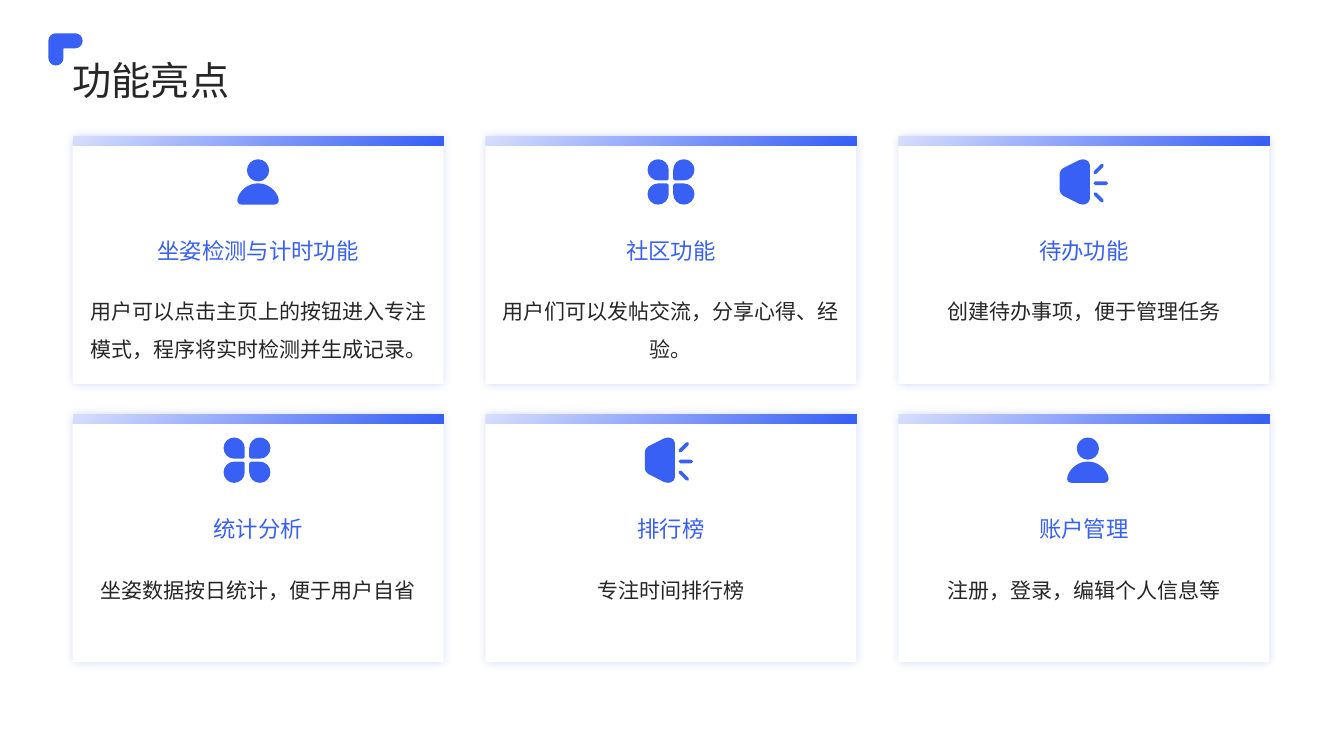
from math import hypot

from lxml import etree
from pptx import Presentation
from pptx.dml.color import RGBColor
from pptx.enum.shapes import MSO_SHAPE
from pptx.enum.text import MSO_ANCHOR, PP_ALIGN
from pptx.oxml.ns import qn
from pptx.util import Inches, Pt

RECT = MSO_SHAPE.RECTANGLE
TOP, MIDDLE = MSO_ANCHOR.TOP, MSO_ANCHOR.MIDDLE
LEFT, CENTER = PP_ALIGN.LEFT, PP_ALIGN.CENTER

COLORS = {"blue": "3860F4", "pale": "D7DFFD", "white": "FFFFFF",
          "ink": "262626", "glow": "0C37D5"}
SANS = "Noto Sans CJK SC"

# Card grid, in inches
COLS = 3
LEFT_X, RIGHT_X, TOP_Y = 0.72, 12.59, 1.35
CARD_W, CARD_H = 3.68, 2.46
STEP_X = (RIGHT_X - LEFT_X - CARD_W) / (COLS - 1)
STEP_Y = 2.76
PAD, BAR = 0.12, 0.09

# Title, description, icon, shift of the icon from the card's centre
CARDS = [
    ("坐姿检测与计时功能", "用户可以点击主页上的按钮进入专注模式，程序将实时检测并生成记录。", "person", 0),
    ("社区功能", "用户们可以发帖交流，分享心得、经验。", "petals", 0),
    ("待办功能", "创建待办事项，便于管理任务", "horn", 0),
    ("统计分析", "坐姿数据按日统计，便于用户自省", "petals", -0.11),
    ("排行榜", "专注时间排行榜", "horn", -0.02),
    ("账户管理", "注册，登录，编辑个人信息等", "person", 0.04),
]


def color(name):
    return RGBColor.from_string(COLORS[name])


def box(x, y, w, h, radii):
    """Corners of a box, clockwise from the top left, each with its radius."""
    spots = [(x, y), (x + w, y), (x + w, y + h), (x, y + h)]
    return [(*spot, r) for spot, r in zip(spots, radii)]


def petals():
    loops = []
    for row in range(2):
        for col in range(2):
            radii = [10.5] * 4
            radii[[[2, 3], [1, 0]][row][col]] = 2
            loops.append(box(col * 25.5, row * 24, 21, 21, radii))
    return loops


def horn():
    ray = [(32.7, 13.2, 1.75), (42.2, 3.7, 1.75), (44.7, 6.2, 1.75), (35.2, 15.7, 1.75)]
    flip = [(x, 47.5 - y, r) for x, y, r in reversed(ray)]
    half = [(0, 10.5, 4), (21, 0, 2), (26, 0, 3), (30, 3.5, 2)]
    cone = half + [(x, 45 - y, r) for x, y, r in reversed(half)]
    return [cone, ray, box(33.5, 22, 14.5, 3.6, [1.8] * 4), flip]


# Outlines in hundredths of an inch: x, y, corner radius
ICONS = {
    "person": (42, [box(10, 0, 22, 22, [11] * 4),
                    [(5, 24, 15), (37, 24, 15), (43, 45, 6), (-1, 45, 6)]]),
    "petals": (46.5, petals()),
    "horn": (48, horn()),
}
CORNER = [(0, 0, 7.5), (34, 0, 7.5), (34, 15, 7.5), (15, 15, 0),
          (15, 32, 7.5), (0, 32, 7.5)]


def bend(loop):
    """For each rounded corner: start, two handles, end."""
    curves = []
    for i, (x, y, r) in enumerate(loop):
        ends, grips = [], []
        for px, py, _ in (loop[i - 1], loop[(i + 1) % len(loop)]):
            for share, spots in ((1, ends), (0.45, grips)):
                cut = share * r / hypot(px - x, py - y)
                spots.append((x + (px - x) * cut, y + (py - y) * cut))
        curves.append([ends[0], *grips, ends[1]])
    return curves


def add_step(path, tag, points):
    step = etree.SubElement(path, qn(tag))
    for px, py in points:
        etree.SubElement(step, qn("a:pt"), x=str(px), y=str(py))


def add_form(slide, x, y, loops):
    shapes = [[[(Inches(x + px / 100), Inches(y + py / 100)) for px, py in curve]
               for curve in bend(loop)] for loop in loops]
    build = slide.shapes.build_freeform(*shapes[0][0][0], scale=1.0)
    for curves in shapes:
        build.move_to(*curves[0][0])
        build.add_line_segments([spot for c in curves for spot in (c[0], c[3])])
    form = build.convert_to_shape()
    form.shadow.inherit = False
    form.fill.solid()
    form.fill.fore_color.rgb = color("blue")
    form.line.fill.background()
    # Redraw the outline with true curves
    path = next(form.element.iter(qn("a:path")))
    for step in list(path):
        path.remove(step)
    for curves in shapes:
        last = None
        for curve in curves:
            first, *rest = [(px - form.left, py - form.top) for px, py in curve]
            if last is None:
                add_step(path, "a:moveTo", [first])
            elif hypot(first[0] - last[0], first[1] - last[1]) > Inches(0.002):
                add_step(path, "a:lnTo", [first])
            if rest[-1] != first:
                add_step(path, "a:cubicBezTo", rest)
            last = rest[-1]
        etree.SubElement(path, qn("a:close"))


def add_rect(slide, x, y, w, h):
    rect = slide.shapes.add_shape(RECT, Inches(x), Inches(y), Inches(w), Inches(h))
    rect.shadow.inherit = False
    rect.line.fill.background()
    return rect


def add_panel(slide, x, y):
    panel = add_rect(slide, x, y, CARD_W, CARD_H)
    panel.fill.solid()
    panel.fill.fore_color.rgb = color("white")
    # Soft glow around the card
    glow = etree.SubElement(panel.element.spPr.find(qn("a:effectLst")), qn("a:outerShdw"),
                            blurRad=str(Pt(7)), dist="0", dir="0", sx="99000", sy="99000",
                            algn="ctr", rotWithShape="0")
    tint = etree.SubElement(glow, qn("a:srgbClr"), val=COLORS["glow"])
    etree.SubElement(tint, qn("a:alpha"), val="24000")
    # Gradient bar along the top
    bar = add_rect(slide, x, y, CARD_W, BAR)
    bar.fill.gradient()
    bar.fill.gradient_angle = 315
    for stop, name, pos in zip(bar.fill.gradient_stops, ("pale", "blue"), (0, 0.98)):
        stop.color.rgb = color(name)
        stop.position = pos


def add_text(slide, text, x, y, w, h, size=15, tone="ink", font=SANS,
             align=CENTER, anchor=TOP, space=1.5):
    frame = slide.shapes.add_textbox(Inches(x), Inches(y), Inches(w), Inches(h)).text_frame
    frame.word_wrap = True
    frame.vertical_anchor = anchor
    frame.margin_left = frame.margin_right = frame.margin_top = frame.margin_bottom = 0
    para = frame.paragraphs[0]
    para.alignment = align
    para.line_spacing = space
    run = para.add_run()
    run.text = text
    run.font.size = Pt(size)
    run.font.name = font
    run.font.color.rgb = color(tone)
    etree.SubElement(run.font._element, qn("a:ea"), typeface=SANS)


def add_card(slide, x, y, title, note, icon, shift):
    add_panel(slide, x, y)
    width = CARD_W - 2 * PAD
    add_text(slide, title, x + PAD, y + CARD_H * 0.31, width, 0.66, size=16, tone="blue",
             font="Lato", anchor=MIDDLE, space=1.3)
    add_text(slide, note, x + PAD, y + 1.49, width, 0.67)
    wide, loops = ICONS[icon]
    add_form(slide, x + CARD_W / 2 + shift - wide / 200, y + 0.23, loops)


def main():
    deck = Presentation()
    deck.slide_width, deck.slide_height = Inches(13.33), Inches(7.5)
    slide = deck.slides.add_slide(deck.slide_layouts[6])
    # Heading
    add_text(slide, "功能亮点", LEFT_X, 0.51, 11.67, 0.51, size=28,
             align=LEFT, anchor=MIDDLE, space=1.1)
    add_form(slide, 0.48, 0.33, [CORNER])
    # Cards
    for i, card in enumerate(CARDS):
        row, col = divmod(i, COLS)
        add_card(slide, LEFT_X + col * STEP_X, TOP_Y + row * STEP_Y, *card)
    deck.save("out.pptx")


if __name__ == "__main__":
    main()
